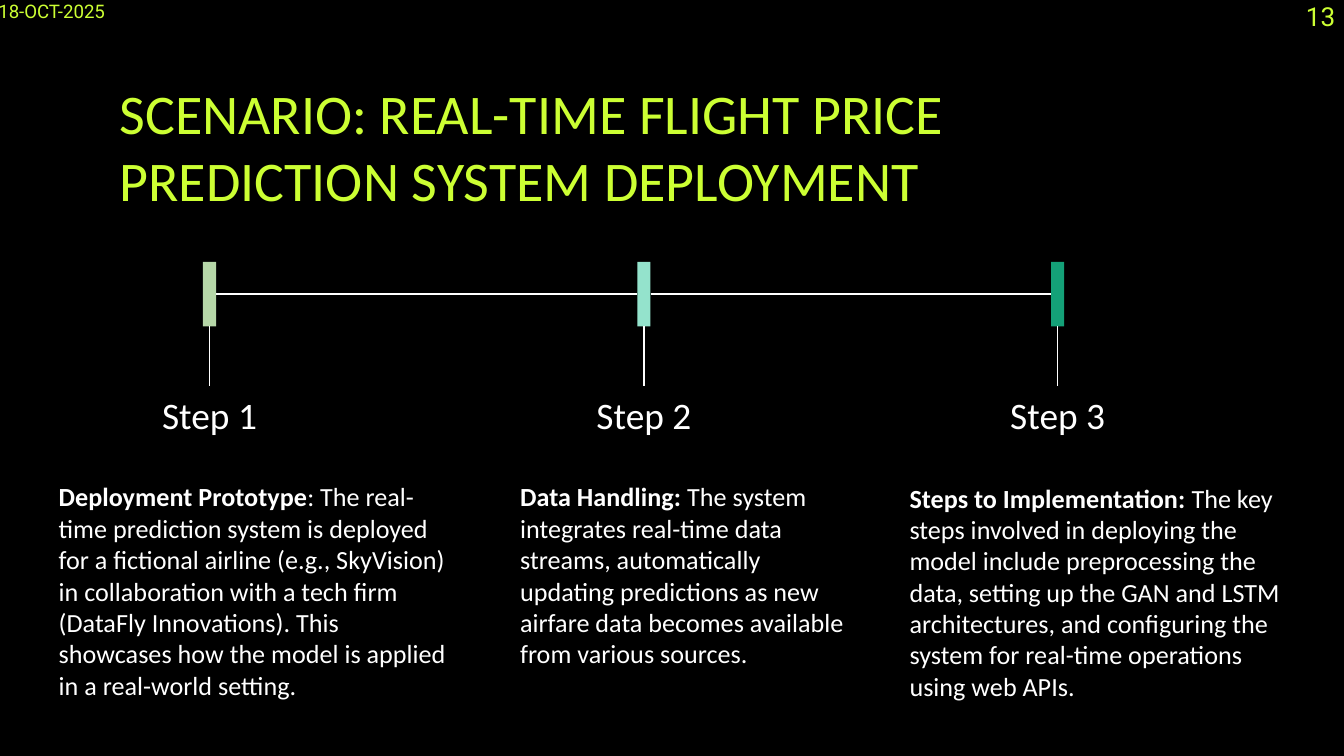
from itertools import pairwise

from lxml.etree import SubElement
from pptx import Presentation
from pptx.dml.color import RGBColor
from pptx.enum.shapes import MSO_CONNECTOR, MSO_SHAPE
from pptx.enum.text import MSO_ANCHOR, PP_ALIGN
from pptx.oxml.ns import qn
from pptx.util import Cm, Pt

BLACK = RGBColor(0x00, 0x00, 0x00)
WHITE = RGBColor(0xFF, 0xFF, 0xFF)
LIME = RGBColor(0xCC, 0xFF, 0x33)
SAGE = RGBColor(0xB6, 0xD7, 0xA8)
MINT = RGBColor(0x94, 0xE3, 0xCC)
GREEN = RGBColor(0x14, 0xA1, 0x78)

# Content
TITLE = "SCENARIO: REAL-TIME FLIGHT PRICE PREDICTION SYSTEM DEPLOYMENT"
PAGE_NUMBER = "13"
DATE = "18-OCT-2025"

# Label, colour, marker centre, box of the description, bold lead, description
STEPS = [
    ("Step 1", SAGE, 3.96, (0.86, 8.84, 7.95, 5.16), "Deployment Prototype",
     ": The real-time prediction system is deployed for a fictional airline "
     "(e.g., SkyVision) in collaboration with a tech firm (DataFly Innovations). "
     "This showcases how the model is applied in a real-world setting."),
    ("Step 2", MINT, 12.17, (9.58, 8.84, 6.68, 4.88), "Data Handling: ",
     "The system integrates real-time data streams, automatically updating "
     "predictions as new airfare data becomes available from various sources."),
    ("Step 3", GREEN, 19.99, (16.94, 8.86, 7.57, 5.21), "Steps to Implementation: ",
     "The key steps involved in deploying the model include preprocessing the data, "
     "setting up the GAN and LSTM architectures, and configuring the system for "
     "real-time operations using web APIs."),
]

# Timeline measures in centimetres
MARKER_WIDTH, MARKER_HEIGHT, MARKER_TOP = 0.25, 1.22, 4.95
LABEL_WIDTH, LABEL_HEIGHT, LABEL_TOP = 5.03, 1.22, 7.29
INSET = 0.25

presentation = Presentation()
presentation.slide_width = Cm(25.4)
presentation.slide_height = Cm(14.29)
slide = presentation.slides.add_slide(presentation.slide_layouts[6])
slide.background.fill.solid()
slide.background.fill.fore_color.rgb = BLACK


def add_text(box, parts, size, color=WHITE, font="Calibri", inset=INSET,
             align=PP_ALIGN.LEFT, anchor=MSO_ANCHOR.TOP):
    """Add a text box; parts holds (text, bold) pairs of one paragraph."""
    text_frame = slide.shapes.add_textbox(*map(Cm, box)).text_frame
    text_frame.word_wrap = True
    text_frame.vertical_anchor = anchor
    text_frame.margin_left = text_frame.margin_right = Cm(INSET)
    text_frame.margin_top = text_frame.margin_bottom = Cm(inset)
    paragraph = text_frame.paragraphs[0]
    paragraph.alignment = align
    for text, bold in parts:
        run = paragraph.add_run()
        run.text = text
        run.font.name = font
        run.font.size = Pt(size)
        run.font.bold = bold
        run.font.color.rgb = color


def add_line(start, end):
    line = slide.shapes.add_connector(MSO_CONNECTOR.STRAIGHT, *map(Cm, start + end))
    line.line.color.rgb = WHITE
    line.line.width = Pt(0.75)
    SubElement(line.element.spPr, qn("a:effectLst"))


# Title
add_text((2.01, 1.24, 19.51, 3.51), [(TITLE, False)], 30, LIME)

# Steps: marker, stem, label and description
for label, color, center, box, lead, description in STEPS:
    marker = slide.shapes.add_shape(
        MSO_SHAPE.RECTANGLE, Cm(center - MARKER_WIDTH / 2), Cm(MARKER_TOP),
        Cm(MARKER_WIDTH), Cm(MARKER_HEIGHT))
    marker.shadow.inherit = False
    marker.fill.solid()
    marker.fill.fore_color.rgb = color
    marker.line.fill.background()
    add_line((center, MARKER_TOP + MARKER_HEIGHT), (center, LABEL_TOP))
    add_text((center - LABEL_WIDTH / 2, LABEL_TOP, LABEL_WIDTH, LABEL_HEIGHT),
             [(label, False)], 20, align=PP_ALIGN.CENTER, anchor=MSO_ANCHOR.BOTTOM)
    add_text(box, [(lead, True), (description, False)], 14)

# Lines between neighbouring markers
axis = MARKER_TOP + MARKER_HEIGHT / 2
for left, right in pairwise(step[2] for step in STEPS):
    add_line((left + MARKER_WIDTH / 2, axis), (right - MARKER_WIDTH / 2, axis))

# Page number and date
add_text((24.43, -0.13, 1.14, 0.86), [(PAGE_NUMBER, False)], 14, LIME, "Roboto", 0.13)
add_text((-0.28, -0.13, 2.69, 0.69), [(DATE, False)], 10, LIME, "Roboto", 0.13)

presentation.save("out.pptx")
